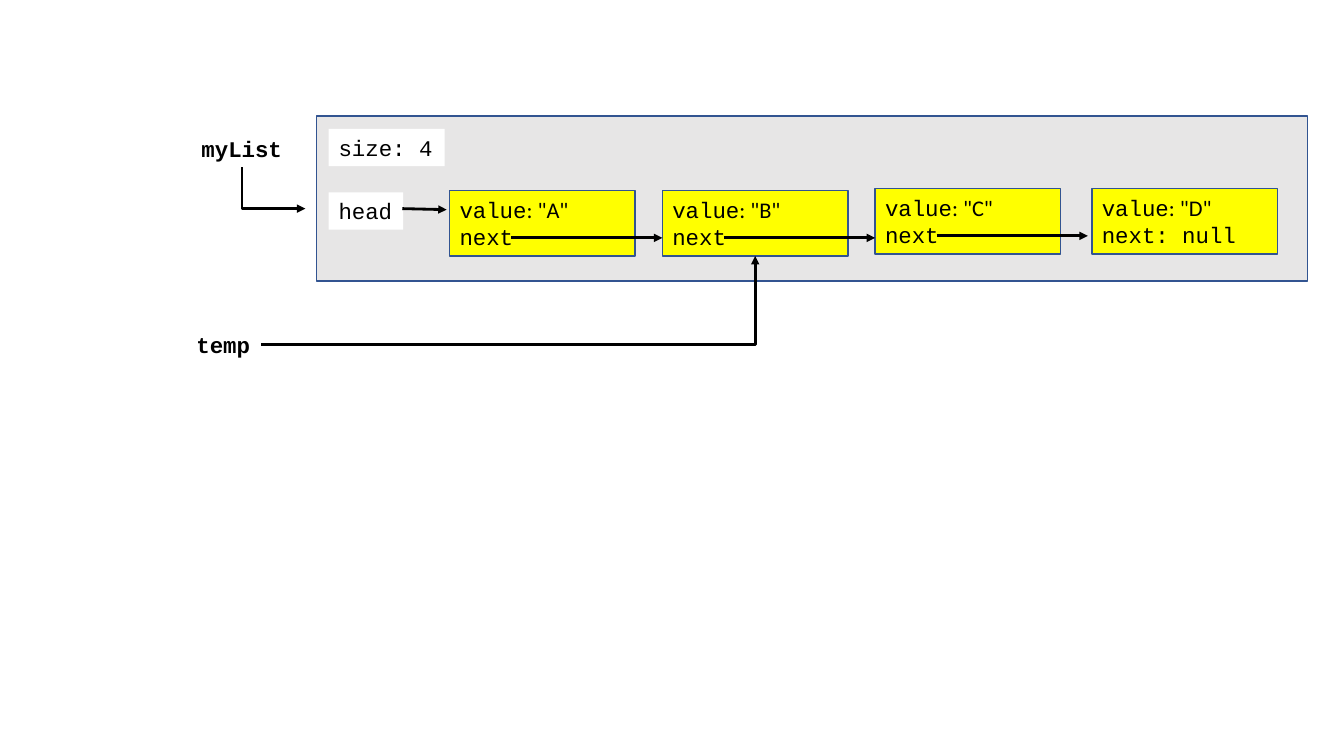
from pptx import Presentation
from pptx.dml.color import RGBColor
from pptx.enum.shapes import MSO_CONNECTOR as Link, MSO_SHAPE as Shape
from pptx.enum.text import MSO_ANCHOR as Anchor, PP_ALIGN as Align
from pptx.oxml.ns import qn
from pptx.util import Inches, Pt
from lxml.etree import SubElement

MONO, SANS = "Courier New", "Calibri"
BLACK, WHITE, GRAY = "000000", "FFFFFF", "E7E6E6"
YELLOW, BLUE = "FFFF00", "325491"
NODE_W, NODE_H = 1.84, 0.65


def color(code):
    """Turn a hex string into a colour."""
    return RGBColor.from_string(code)


def write(para, text, font=MONO, size=16, bold=False, fill=BLACK):
    """Add a formatted run to a paragraph."""
    run = para.add_run()
    run.text = text
    run.font.name = font
    run.font.size = Pt(size)
    run.font.bold = bold
    run.font.color.rgb = color(fill)
    para.alignment = Align.LEFT


def add_box(slide, x, y, w, h, fill, line=None):
    """Add a filled rectangle, outlined if a line colour is given."""
    box = slide.shapes.add_shape(
        Shape.RECTANGLE, Inches(x), Inches(y), Inches(w), Inches(h))
    box.shadow.inherit = False
    box.fill.solid()
    box.fill.fore_color.rgb = color(fill)
    if line:
        box.line.color.rgb = color(line)
        box.line.width = Pt(1)
    else:
        box.line.fill.background()
    return box


def add_label(slide, text, x, y, w, bold=False):
    """Add a white one-line label."""
    frame = add_box(slide, x, y, w, 0.37, WHITE).text_frame
    frame.word_wrap = False
    frame.vertical_anchor = Anchor.TOP
    write(frame.paragraphs[0], text, bold=bold)


def add_node(slide, value, link, x, y):
    """Add a list node with its value and its next field."""
    frame = add_box(slide, x, y, NODE_W, NODE_H, YELLOW, BLUE).text_frame
    frame.word_wrap = True
    frame.vertical_anchor = Anchor.MIDDLE
    top = frame.paragraphs[0]
    write(top, "value")
    write(top, f': "{value}"', font=SANS)
    write(frame.add_paragraph(), link)


def add_arrow(slide, x1, y1, x2, y2, kind=Link.STRAIGHT):
    """Add a black connector with an arrowhead at its end."""
    arrow = slide.shapes.add_connector(
        kind, Inches(x1), Inches(y1), Inches(x2), Inches(y2))
    arrow.line.color.rgb = color(BLACK)
    arrow.line.width = Pt(2)
    props = arrow._element.spPr
    SubElement(props.find(qn("a:ln")), qn("a:tailEnd"), type="triangle")
    SubElement(props, qn("a:effectLst"))
    return arrow


def add_bend(slide, x1, y1, x2, y2, down=False):
    """Add an arrow with one corner, going across or down first."""
    if down:
        # A quarter turn about the centre swaps the frame's sides.
        mid_x, mid_y = (x1 + x2) / 2, (y1 + y2) / 2
        dx, dy = (y2 - y1) / 2, (x2 - x1) / 2
        x1, y1, x2, y2 = mid_x + dx, mid_y - dy, mid_x - dx, mid_y + dy
    arrow = add_arrow(slide, x1, y1, x2, y2, Link.ELBOW)
    props = arrow._element.spPr
    props.find(qn("a:prstGeom")).set("prst", "bentConnector2")
    if down:
        props.find(qn("a:xfrm")).set("rot", str(270 * 60000))


def main():
    """Build the linked list slide."""
    deck = Presentation()
    deck.slide_width, deck.slide_height = Inches(13.33), Inches(7.5)
    slide = deck.slides.add_slide(deck.slide_layouts[6])

    add_label(slide, "myList", 1.9, 1.29, 1.01, bold=True)
    add_box(slide, 3.14, 1.15, 9.83, 1.64, GRAY, BLUE)
    add_label(slide, "size: 4", 3.26, 1.28, 1.15)
    add_label(slide, "head", 3.26, 1.91, 0.74)
    add_arrow(slide, 3.99, 2.07, 4.43, 2.08)
    add_bend(slide, 2.4, 1.66, 3.03, 2.07, down=True)

    nodes = [("A", 4.46, 1.89), ("B", 6.57, 1.89),
             ("C", 8.68, 1.87), ("D", 10.83, 1.87)]
    for value, x, y in nodes:
        last = value == "D"
        add_node(slide, value, "next: null" if last else "next", x, y)
    for _, x, y in nodes[:-1]:
        add_arrow(slide, x + 0.61, y + 0.47, x + 2.11, y + 0.47)

    add_label(slide, "temp", 1.85, 3.24, 0.74, bold=True)
    add_bend(slide, 2.59, 3.42, 7.49, 2.54)
    deck.save("out.pptx")


main()
